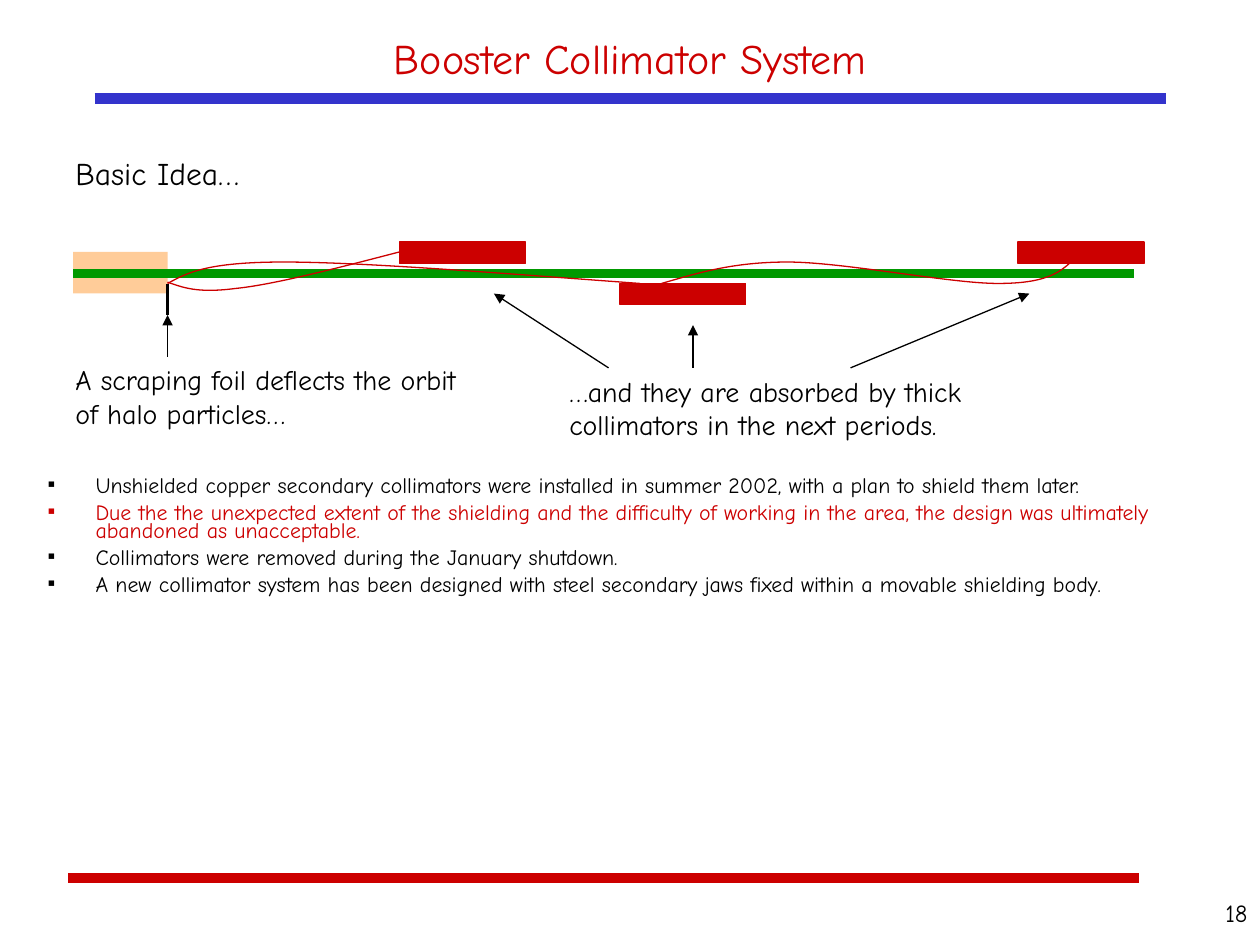
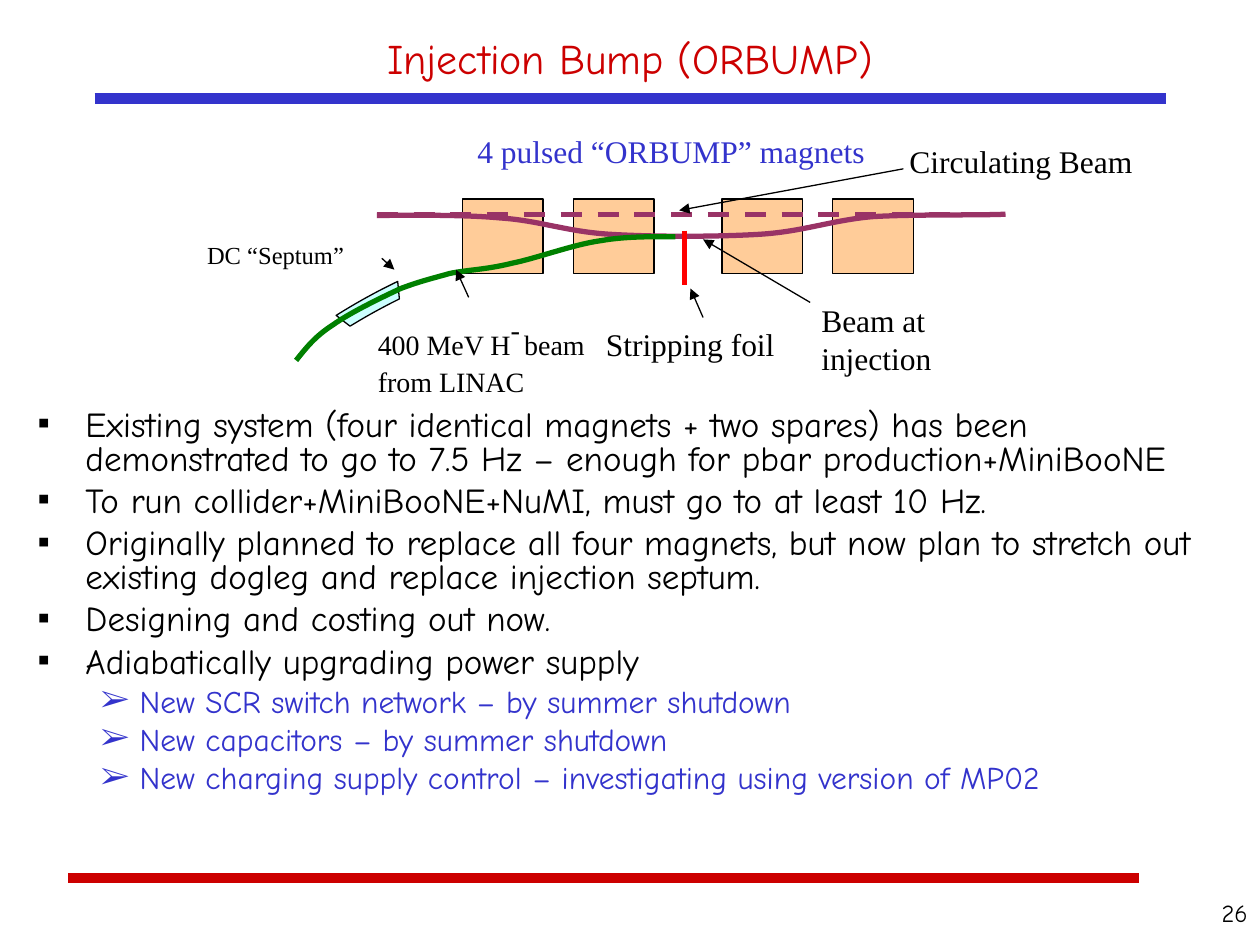
from dataclasses import dataclass
from itertools import product

from lxml import etree
from pptx import Presentation
from pptx.dml.color import RGBColor
from pptx.enum.dml import MSO_LINE
from pptx.enum.shapes import MSO_CONNECTOR, MSO_SHAPE
from pptx.enum.text import MSO_ANCHOR, PP_ALIGN
from pptx.oxml.ns import qn
from pptx.util import Inches, Pt

LEFT, CENTER, RIGHT = PP_ALIGN.LEFT, PP_ALIGN.CENTER, PP_ALIGN.RIGHT
TOP, MIDDLE = MSO_ANCHOR.TOP, MSO_ANCHOR.MIDDLE
STRAIGHT = MSO_CONNECTOR.STRAIGHT
RECT, BLOCK_ARC = MSO_SHAPE.RECTANGLE, MSO_SHAPE.BLOCK_ARC
DASH = MSO_LINE.DASH


@dataclass(frozen=True)
class Theme:
    body_font: str = "Comic Neue"
    label_font: str = "Times New Roman"
    black: str = "000000"
    red: str = "CC0000"
    blue: str = "3333CC"
    magnet: str = "FFCC99"
    green: str = "009900"
    septum: str = "CCFFFF"
    circulating: str = "993366"
    injected: str = "008000"
    foil: str = "FF0000"
    title: float = 24
    heading: float = 18
    caption: float = 16
    small: float = 14
    superscript: float = 28
    thin: float = 0.75
    beam: float = 3
    rule: float = 6


T = Theme()


def rgb(color):
    return RGBColor.from_string(color)


def add_run(p, text, size, color=T.black, font=T.body_font, baseline=0):
    r = p.add_run()
    r.text = text
    r.font.size, r.font.name = Pt(size), font
    r.font.color.rgb = rgb(color)
    if baseline:
        r.font._element.set("baseline", str(baseline * 1000))


@dataclass
class Area:
    """Part of a slide; every position is in inches from its left and top."""
    slide: object
    left: float = 0
    top: float = 0

    def at(self, x, y):
        return Inches(self.left + x), Inches(self.top + y)

    def line(self, start, end, color=T.black, width=T.thin, dash=None, arrow=False):
        c = self.slide.shapes.add_connector(STRAIGHT, *self.at(*start), *self.at(*end))
        c.line.color.rgb, c.line.width = rgb(color), Pt(width)
        if dash:
            c.line.dash_style = dash
        if arrow:
            etree.SubElement(c.line._get_or_add_ln(), qn("a:tailEnd"), type="triangle")
        etree.SubElement(c._element.spPr, qn("a:effectLst"))

    def shape(self, kind, x, y, w, h, fill, outline=None):
        sp = self.slide.shapes.add_shape(kind, *self.at(x, y), Inches(w), Inches(h))
        sp.shadow.inherit = False
        sp.fill.solid()
        sp.fill.fore_color.rgb = rgb(fill)
        if outline:
            sp.line.color.rgb, sp.line.width = rgb(outline), Pt(T.thin)
        else:
            sp.line.fill.background()
        return sp

    def curve(self, points, color, width=T.thin):
        """Bezier path: a start point, then three points for each segment."""
        start, *rest = [self.at(*point) for point in points]
        builder = self.slide.shapes.build_freeform(*start)
        builder.add_line_segments(rest, close=False)
        sp = builder.convert_to_shape()
        sp.shadow.inherit = False
        sp.fill.background()
        sp.line.color.rgb, sp.line.width = rgb(color), Pt(width)
        path = sp._element.find(".//" + qn("a:path"))
        steps = path.findall(qn("a:lnTo"))
        for i in range(0, len(steps), 3):
            bezier = etree.SubElement(path, qn("a:cubicBezTo"))
            for step in steps[i:i + 3]:
                bezier.append(step[0])
                path.remove(step)

    def frame(self, x, y, w, h, anchor=TOP):
        box = self.slide.shapes.add_textbox(*self.at(x, y), Inches(w), Inches(h))
        tf = box.text_frame
        tf.word_wrap = True
        tf.vertical_anchor = anchor
        return tf

    def text(self, x, y, w, h, text, size, color=T.black, font=T.body_font,
             align=LEFT, anchor=TOP):
        p = self.frame(x, y, w, h, anchor).paragraphs[0]
        p.alignment = align
        add_run(p, text, size, color, font)
        return p


def add_bullet(p, mark, color, margin, hanging):
    pPr = p._p.get_or_add_pPr()
    pPr.set("marL", str(Inches(margin)))
    pPr.set("indent", str(-Inches(hanging)))
    bu_color = etree.SubElement(pPr, qn("a:buClr"))
    etree.SubElement(bu_color, qn("a:srgbClr"), val=color)
    etree.SubElement(pPr, qn("a:buFont"), typeface=T.label_font)
    etree.SubElement(pPr, qn("a:buChar"), char=mark)


def bullet_list(area, w, h, size, spacing, items):
    """Items are (level, colour, text)."""
    tf = area.frame(0, 0, w, h)
    for i, (level, color, text) in enumerate(items):
        p = tf.add_paragraph() if i else tf.paragraphs[0]
        p.level = level
        p.line_spacing = spacing
        p.space_before = Pt(5 - level / 2 if i else 0)
        if level:
            add_bullet(p, "➢", color, 0.81, 0.31)
        else:
            add_bullet(p, "▪", color, 0.38, 0.38)
        add_run(p, text, size - 2 * level, color)


def new_slide(prs, title, number):
    s = prs.slides.add_slide(prs.slide_layouts[6])
    page = Area(s)
    page.line((0.54, 6.97), (9.04, 6.97), T.red, T.rule)
    page.line((0.75, 0.78), (9.25, 0.78), T.blue, T.rule)
    page.text(0.75, 0.17, 8.5, 0.58, title, T.title, T.red, align=CENTER, anchor=MIDDLE)
    page.text(9.08, 7.08, 0.92, 0.42, number, T.small, align=RIGHT)
    return s


def collimator_diagram(area):
    """Beam line running right from the area's origin, with notes around it."""
    foil_x, above, below = 0.75, -0.25, 0.08
    area.shape(RECT, 0, -0.17, foil_x, 0.33, T.magnet)
    area.text(-0.08, -1, 1.67, 0.4, "Basic Idea…", T.heading)
    area.line((foil_x, below), (foil_x, 0.33), width=2)
    area.line((0, 0), (8.42, 0), T.green, 5)
    for x, y in ((2.59, above), (4.34, below), (7.5, above)):
        area.shape(RECT, x, y, 1, 0.17, T.red, T.red)

    halo_orbits = (
        [(foil_x, 0.07), (0.87, 0.11), (0.98, 0.16), (1.29, 0.12),
         (1.59, 0.09), (2.09, -0.04), (2.59, -0.17)],
        [(foil_x, 0.08), (0.9, 0), (1.05, -0.09), (1.67, -0.09),
         (2.3, -0.09), (3.4, 0), (4.5, 0.08)],
        [(4.67, 0.08), (4.95, 0), (5.23, -0.09), (5.67, -0.09),
         (6.11, -0.09), (6.96, 0.08), (7.34, 0.08),
         (7.71, 0.08), (7.82, 0), (7.92, -0.09)],
    )
    for orbit in halo_orbits:
        area.curve(orbit, T.red)

    area.text(-0.08, 0.66, 3.42, 0.64,
              "A scraping foil deflects the orbit of halo particles…", T.caption)
    area.text(3.84, 0.75, 4.33, 0.64,
              "…and they are absorbed by thick collimators in the next periods.", T.caption)
    for start, end in (((foil_x, 0.66), (foil_x, 0.33)), ((4.25, 0.75), (3.34, 0.16)),
                       ((4.92, 0.75), (4.92, 0.41)), ((6.17, 0.75), (7.59, 0.16))):
        area.line(start, end, arrow=True)


def injection_diagram(area):
    septum = area.shape(BLOCK_ARC, 0.46, 1.28, 3.53, 1.31, T.septum, T.black)
    septum.rotation = 331.1
    # Start angle, end angle and thickness, as fractions of 100000 units
    for i, value in enumerate((148, 176, 0.1)):
        septum.adjustments[i] = value
    for pair_x, offset in product((2.67, 4.73), (0, 0.88)):
        area.shape(RECT, pair_x + offset, 0.58, 0.64, 0.59, T.magnet, T.black)

    area.curve([(1.99, 0.71), (2.15, 0.71), (2.66, 0.7), (2.97, 0.73),
                (3.28, 0.75), (3.5, 0.84), (3.85, 0.86),
                (4.19, 0.88), (4.68, 0.88), (5.02, 0.86),
                (5.37, 0.84), (5.59, 0.75), (5.92, 0.72),
                (6.24, 0.7), (6.76, 0.71), (6.98, 0.7)], T.circulating, T.beam)
    area.curve([(4.36, 0.88), (4.26, 0.88), (3.99, 0.87), (3.77, 0.91),
                (3.55, 0.94), (3.26, 1.05), (3.06, 1.09),
                (2.86, 1.14), (2.72, 1.14), (2.57, 1.17),
                (2.43, 1.21), (2.34, 1.23), (2.18, 1.29),
                (2.03, 1.36), (1.78, 1.48), (1.64, 1.58),
                (1.5, 1.67), (1.43, 1.76), (1.35, 1.86)], T.injected, T.beam)
    area.line((4.43, 0.83), (4.43, 1.26), T.foil, T.beam)
    area.line((1.99, 0.7), (6.88, 0.7), T.circulating, T.beam, dash=DASH)

    for x, y, w, h, text, color in (
            (6.12, 0.08, 1.97, 0.4, "Circulating Beam", T.black),
            (5.42, 1.34, 1.57, 0.7, "Beam at injection", T.black),
            (3.71, 1.53, 1.57, 0.4, "Stripping foil", T.black),
            (2.69, 0, 3.39, 0.4, "4 pulsed “ORBUMP” magnets", T.blue)):
        area.text(x, y, w, h, text, T.heading, color, T.label_font)
    area.text(0.03, 0.86, 1.8, 0.34, "DC “Septum”", T.small,
              font=T.label_font, align=RIGHT)
    p = area.text(1.9, 1.38, 1.92, 0.84, "400 MeV H", T.caption, font=T.label_font)
    add_run(p, "-", T.superscript, font=T.label_font, baseline=30)
    add_run(p, " ", T.caption, font=T.label_font, baseline=30)
    add_run(p, "beam from LINAC", T.caption, font=T.label_font)

    for start, end in (((6.17, 0.34), (4.39, 0.67)), ((5.43, 1.4), (4.58, 0.9)),
                       ((2.72, 1.36), (2.62, 1.14)), ((2.03, 1.05), (2.13, 1.14)),
                       ((4.58, 1.52), (4.48, 1.29))):
        area.line(start, end, arrow=True)


def collimator_slide(prs):
    s = new_slide(prs, "Booster Collimator System", "18")
    bullet_list(Area(s, 0.28, 3.75), 9.08, 1.33, 12.5, 0.7, (
        (0, T.black, "Unshielded copper secondary collimators were installed in summer 2002, "
                     "with a plan to shield them later."),
        (0, T.red, "Due the the unexpected extent of the shielding and the difficulty of "
                   "working in the area, the design was ultimately abandoned as unacceptable."),
        (0, T.black, "Collimators were removed during the January shutdown."),
        (0, T.black, "A new collimator system has been designed with steel secondary jaws "
                     "fixed within a movable shielding body."),
    ))
    collimator_diagram(Area(s, 0.58, 2.17))


def injection_slide(prs):
    s = new_slide(prs, "Injection Bump (ORBUMP)", "26")
    bullet_list(Area(s, 0.2, 3.21), 9.52, 3.44, 20, 0.8, (
        (0, T.black, "Existing system (four identical magnets + two spares) has been "
                     "demonstrated to go to 7.5 Hz – enough for pbar production+MiniBooNE"),
        (0, T.black, "To run collider+MiniBooNE+NuMI, must go to at least 10 Hz."),
        (0, T.black, "Originally planned to replace all four magnets, but now plan to "
                     "stretch out existing dogleg and replace injection septum."),
        (0, T.black, "Designing and costing out now."),
        (0, T.black, "Adiabatically upgrading power supply"),
        (1, T.blue, "New SCR switch network – by summer shutdown"),
        (1, T.blue, "New capacitors – by summer shutdown"),
        (1, T.blue, "New charging supply control – investigating using version of MP02"),
    ))
    injection_diagram(Area(s, 1, 1))


def main():
    prs = Presentation()
    prs.slide_width, prs.slide_height = Inches(10), Inches(7.5)
    collimator_slide(prs)
    injection_slide(prs)
    prs.save("out.pptx")


if __name__ == "__main__":
    main()
